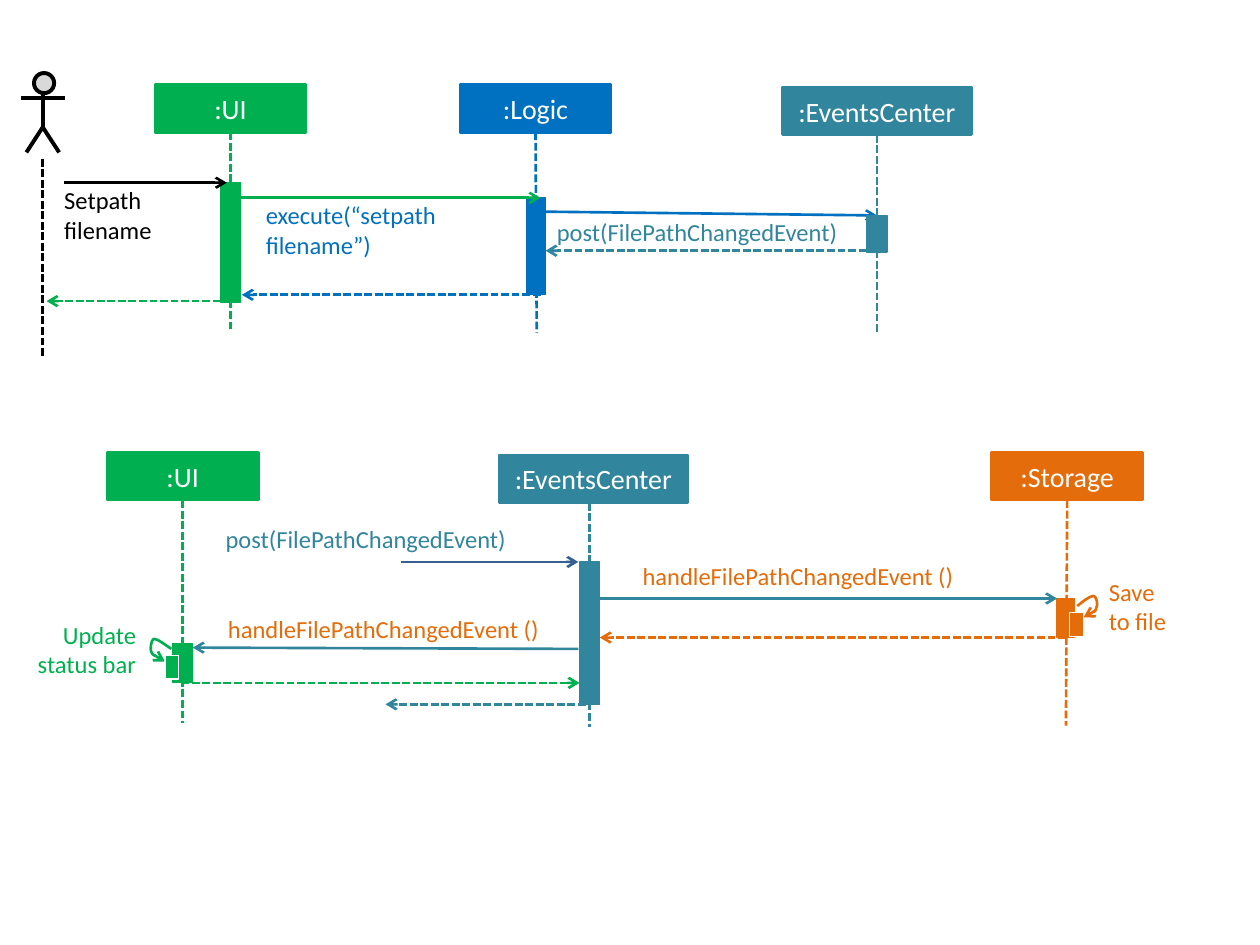
from dataclasses import dataclass

from lxml import etree
from pptx import Presentation
from pptx.dml.color import RGBColor
from pptx.enum import dml, shapes, text
from pptx.oxml.ns import qn
from pptx.util import Inches, Pt

BLACK = RGBColor(0x00, 0x00, 0x00)
WHITE = RGBColor(0xFF, 0xFF, 0xFF)
GREY = RGBColor(0xD9, 0xD9, 0xD9)
GREEN = RGBColor(0x00, 0xB0, 0x50)
BLUE = RGBColor(0x00, 0x70, 0xC0)
NAVY = RGBColor(0x37, 0x60, 0x92)
TEAL = RGBColor(0x31, 0x85, 0x9C)
ORANGE = RGBColor(0xE4, 0x6C, 0x0A)

HEADER_HEIGHT = 0.38
RECTANGLE = shapes.MSO_SHAPE.RECTANGLE
Point = tuple[float, float]
Area = tuple[float, float, float, float]


@dataclass
class Participant:
    name: str
    color: RGBColor
    left: float
    top: float
    width: float
    life_end: Point
    bar: Area


@dataclass
class Message:
    start: Point
    tip: Point
    color: RGBColor
    is_return: bool = False


@dataclass
class Label:
    words: str
    area: Area
    color: RGBColor
    align: text.PP_ALIGN = text.PP_ALIGN.LEFT


@dataclass
class SelfCall:
    color: RGBColor
    curve: list[Point]
    bar: Area


def style_line(item, color: RGBColor, width: float = 1.5,
               dashed: bool = False, arrow: bool = False) -> None:
    item.line.color.rgb = color
    item.line.width = Pt(width)
    properties = item._element.spPr
    if dashed:
        item.line.dash_style = dml.MSO_LINE.SQUARE_DOT
    if arrow:
        etree.SubElement(properties.find(qn("a:ln")), qn("a:tailEnd"), type="arrow")
    if properties.find(qn("a:effectLst")) is None:
        etree.SubElement(properties, qn("a:effectLst"))


def write(frame, words: str, size: int, color: RGBColor, align: text.PP_ALIGN) -> None:
    para = frame.paragraphs[0]
    para.text = words
    para.alignment = align
    for span in para.runs:
        for key, value in {"name": "Calibri", "size": Pt(size)}.items():
            setattr(span.font, key, value)
        span.font.color.rgb = color


def add_box(parent, area: Area, fill: RGBColor, line: RGBColor,
            width: float = 0.75, kind=RECTANGLE):
    box = parent.add_shape(kind, *map(Inches, area))
    box.shadow.inherit = False
    box.fill.solid()
    box.fill.fore_color.rgb = fill
    style_line(box, line, width)
    return box


def add_line(parent, start: Point, end: Point, color: RGBColor, **style):
    line = parent.add_connector(shapes.MSO_CONNECTOR.STRAIGHT,
                                *map(Inches, (*start, *end)))
    style_line(line, color, **style)
    return line


def add_outline(parent, points: list[Point], color: RGBColor, **style):
    # The builder rounds to whole units, so draw in hundredths of an inch
    first, *others = [(100 * x, 100 * y) for x, y in points]
    builder = parent.build_freeform(*first, scale=Inches(0.01))
    builder.add_line_segments(others, close=False)
    outline = builder.convert_to_shape()
    outline.fill.background()
    style_line(outline, color, **style)
    return outline


def add_participant(parent, who: Participant) -> None:
    header = add_box(parent, (who.left, who.top, who.width, HEADER_HEIGHT),
                     who.color, who.color, 1.5)
    header.text_frame.vertical_anchor = text.MSO_ANCHOR.MIDDLE
    write(header.text_frame, who.name, 16, WHITE, text.PP_ALIGN.CENTER)
    life_x = who.life_end[0]
    lifeline = add_line(parent, (life_x, who.top + HEADER_HEIGHT), who.life_end,
                        who.color, dashed=True)
    if abs(who.left + who.width / 2 - life_x) < 0.02:
        lifeline.begin_connect(header, 2)
    add_box(parent, who.bar, who.color, who.color)


def add_message(parent, message: Message) -> None:
    add_line(parent, message.start, message.tip, message.color,
             dashed=message.is_return, arrow=True)


def add_label(parent, label: Label) -> None:
    box = parent.add_textbox(*map(Inches, label.area))
    settings = {"margin_left": 0, "margin_top": 0, "margin_right": 0,
                "margin_bottom": 0, "word_wrap": True,
                "auto_size": text.MSO_AUTO_SIZE.SHAPE_TO_FIT_TEXT}
    for key, value in settings.items():
        setattr(box.text_frame, key, value)
    write(box.text_frame, label.words, 14, label.color, label.align)


def add_self_call(parent, call: SelfCall) -> None:
    group = parent.add_group_shape().shapes
    loop = add_outline(group, call.curve, call.color, arrow=True)
    # Every three straight steps become one Bezier segment
    steps = list(loop._element.iter(qn("a:lnTo")))
    for first in range(0, len(steps), 3):
        bezier = etree.Element(qn("a:cubicBezTo"))
        steps[first].addprevious(bezier)
        for step in steps[first:first + 3]:
            bezier.append(step[0])
            step.getparent().remove(step)
    add_box(group, call.bar, call.color, WHITE)


def add_actor(parent) -> None:
    group = parent.add_group_shape().shapes
    add_box(group, (0.27, 0.58, 0.16, 0.16), GREY, BLACK, 2.25,
            shapes.MSO_SHAPE.FLOWCHART_CONNECTOR)
    add_line(group, (0.34, 0.74), (0.34, 1.02), BLACK, width=2.25)
    add_outline(group, [(0.21, 1.21), (0.34, 1.01), (0.47, 1.21)], BLACK, width=2.25)
    add_line(group, (0.17, 0.78), (0.52, 0.78), BLACK, width=2.25)
    add_line(parent, (0.34, 1.26), (0.34, 2.83), BLACK, dashed=True)


# Later parts cover earlier ones
PARTS = [
    # Command handling
    Participant(":UI", GREEN, 1.23, 0.67, 1.2, (1.83, 2.63), (1.75, 1.45, 0.16, 0.95)),
    Participant(":Logic", BLUE, 3.65, 0.67, 1.2, (4.26, 2.64), (4.18, 1.57, 0.15, 0.77)),
    Message((0.51, 1.45), (1.8, 1.45), BLACK),
    Message((1.9, 1.57), (4.29, 1.57), GREEN),
    Message((4.32, 1.68), (6.96, 1.71), BLUE),
    Message((4.29, 2.34), (1.92, 2.34), BLUE, True),
    Message((1.75, 2.39), (0.37, 2.39), GREEN, True),
    Participant(":EventsCenter", TEAL, 6.21, 0.69, 1.5, (6.96, 2.64), (6.88, 1.71, 0.16, 0.29)),
    Message((6.96, 1.99), (4.33, 1.99), TEAL, True),
    Label("Setpath filename", (0.51, 1.47, 0.99, 0.47), BLACK),
    Label("execute(“setpath filename”)", (2.11, 1.59, 1.91, 0.47), BLUE),
    Label("post(FilePathChangedEvent)", (4.42, 1.72, 2.26, 0.24), TEAL),
    # Event handling
    Participant(":Storage", ORANGE, 7.87, 3.59, 1.2, (8.46, 5.76), (8.39, 4.75, 0.14, 0.31)),
    Participant(":EventsCenter", TEAL, 3.96, 3.61, 1.5, (4.68, 5.77), (4.6, 4.46, 0.16, 1.13)),
    Participant(":UI", GREEN, 0.85, 3.59, 1.2, (1.45, 5.74), (1.37, 5.11, 0.16, 0.31)),
    Message((3.18, 4.46), (4.59, 4.46), NAVY),
    Message((4.76, 4.75), (8.39, 4.75), TEAL),
    Message((8.46, 5.06), (4.76, 5.06), ORANGE, True),
    Message((4.59, 5.15), (1.53, 5.14), TEAL),
    Message((1.44, 5.42), (4.6, 5.42), GREEN, True),
    Message((4.65, 5.59), (3.06, 5.59), TEAL, True),
    SelfCall(ORANGE, [(8.55, 4.81), (8.6, 4.77), (8.65, 4.73), (8.68, 4.73), (8.7, 4.73),
                      (8.72, 4.8), (8.7, 4.83), (8.69, 4.86), (8.64, 4.88), (8.6, 4.9)],
             (8.49, 4.86, 0.11, 0.19)),
    SelfCall(GREEN, [(1.36, 5.15), (1.3, 5.11), (1.25, 5.07), (1.22, 5.07), (1.2, 5.08),
                     (1.19, 5.15), (1.2, 5.17), (1.21, 5.2), (1.26, 5.22), (1.31, 5.25)],
             (1.31, 5.2, 0.11, 0.19)),
    Label("post(FilePathChangedEvent)", (1.79, 4.16, 2.97, 0.24), TEAL),
    Label("handleFilePathChangedEvent ()", (5.1, 4.45, 3.13, 0.24), ORANGE),
    Label("handleFilePathChangedEvent ()", (1.81, 4.87, 3.13, 0.24), ORANGE),
    Label("Save \nto file", (8.8, 4.58, 0.59, 0.47), ORANGE),
    Label("Update status bar", (0.21, 4.92, 0.87, 0.47), GREEN, text.PP_ALIGN.RIGHT),
]

DRAWERS = {Participant: add_participant, Message: add_message,
           Label: add_label, SelfCall: add_self_call}


def main() -> None:
    deck = Presentation()
    deck.slide_width, deck.slide_height = Inches(10), Inches(7.5)
    page = deck.slides.add_slide(deck.slide_layouts[6])
    add_actor(page.shapes)
    for part in PARTS:
        DRAWERS[type(part)](page.shapes, part)
    deck.save("out.pptx")


if __name__ == "__main__":
    main()
